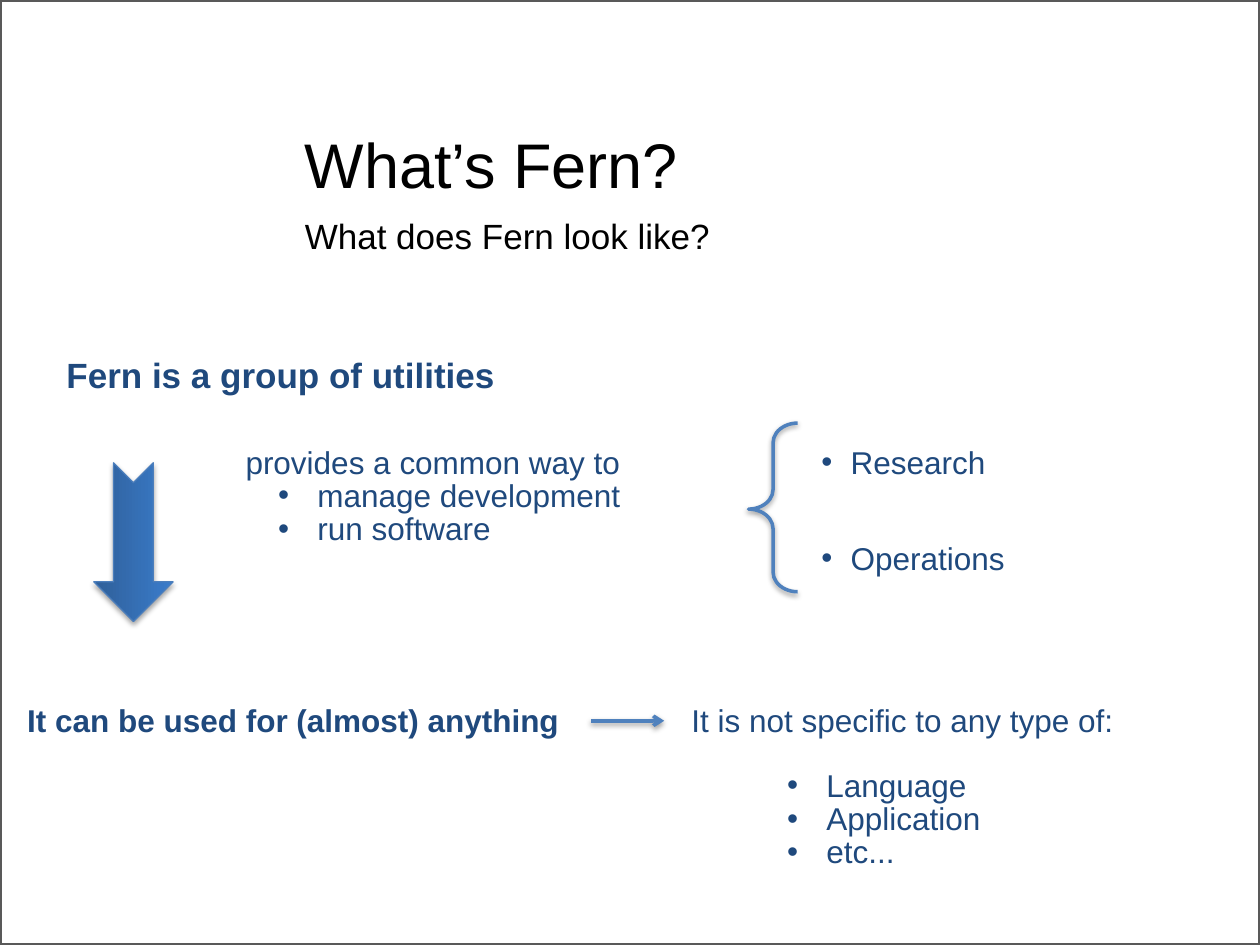
from lxml import etree
from pptx import Presentation
from pptx import util as u
from pptx.dml.color import RGBColor
from pptx.enum import shapes, text
from pptx.oxml.ns import qn

COLORS = {"frame": "595959", "black": "000000", "navy": "1F497D",
          "blue": "4F81BD", "edge": "4B7EBC", "dark": "2F5F99", "light": "3A7CCB"}
FONT = "Arial"

# Content: placeholders are (text, box in cm, size, line spacing, space around)
HEADINGS = [
    ("What’s Fern?", (5.89, 1.6, 19.41, 2.59), 36, 0.85, 0),
    ("What does Fern look like?", (5.89, 4.29, 19.41, 1.4), 20, 0.9, 7),
]
# Text boxes are (box in cm, size, bold, lines)
# Lines are (text, text indent in cm or None for no bullet, hang in cm, space before in pt)
BOXES = [
    ((16.31, 8.92, 4.39, 2.87), 18, False,
     [("Research", 0.59, 0.59, 0), ("Operations", 0.59, 0.59, 36.6)]),
    ((1.09, 7.14, 9.4, 0.99), 20, True,
     [("Fern is a group of utilities", None, 0, 0)]),
    ((4.7, 8.92, 9.4, 2.21), 18, False,
     [("provides a common way to", None, 0, 0),
      ("manage development", 1.45, 0.79, 0.6),
      ("run software", 1.45, 0.79, 0.6)]),
    ((0.3, 14.12, 11.61, 0.91), 18, True,
     [("It can be used for (almost) anything", None, 0, 0)]),
    ((13.69, 14.12, 9.8, 3.53), 18, False,
     [("It is not specific to any type of:", None, 0, 0),
      ("Language", 2.72, 0.79, 18.9),
      ("Application", 2.72, 0.79, 0.6),
      ("etc...", 2.72, 0.79, 0.6)]),
]
FRAME = (0, 0, 25.4, 19.05)
BRACE = (15.09, 8.53, 0.99, 3.4)
DOWN_ARROW = (1.09, 10.13, 3.2, 1.6)
LINK = (11.91, 14.53, 13.39, 14.53)


def cm(values):
    return [u.Cm(v) for v in values]


def rgb(name):
    return RGBColor.from_string(COLORS[name])


def style(p, size, color, spacing, bold=False):
    p.line_spacing = spacing
    p.alignment = text.PP_ALIGN.LEFT
    for r in p.runs:
        r.font.name, r.font.size, r.font.bold = FONT, u.Pt(size), bold
        r.font.color.rgb = rgb(color)


def bullet(p, indent, hang):
    pPr = p._p.get_or_add_pPr()
    pPr.set("marL", str(u.Cm(indent)))
    pPr.set("indent", str(-u.Cm(hang)))
    etree.SubElement(pPr, qn("a:buFont"), typeface=FONT)
    etree.SubElement(pPr, qn("a:buChar"), char="•")


def outline(sp, color, width):
    sp.line.color.rgb = rgb(color)
    sp.line.width = u.Pt(width)


def drop_shadow(sp, opacity, blur, dist):
    effects = etree.SubElement(sp._element.spPr, qn("a:effectLst"))
    shadow = etree.SubElement(effects, qn("a:outerShdw"), blurRad=str(u.Pt(blur)),
                              dist=str(u.Pt(dist)), dir="5400000", rotWithShape="0")
    color = etree.SubElement(shadow, qn("a:srgbClr"), val=COLORS["black"])
    etree.SubElement(color, qn("a:alpha"), val=str(opacity * 1000))


prs = Presentation()
prs.slide_width, prs.slide_height = cm(FRAME[2:])
s = prs.slides.add_slide(prs.slide_layouts[0])

# Frame around the slide
frame = s.shapes.add_shape(shapes.MSO_SHAPE.RECTANGLE, *cm(FRAME))
frame.fill.background()
frame.shadow.inherit = False
outline(frame, "frame", 2.25)

# Title and subtitle
anchors = (text.MSO_ANCHOR.BOTTOM, text.MSO_ANCHOR.TOP)
for sp, anchor, (words, box, size, spacing, gap) in zip(s.placeholders, anchors, HEADINGS):
    sp.left, sp.top, sp.width, sp.height = cm(box)
    tf = sp.text_frame
    tf.text = words
    tf.vertical_anchor = anchor
    tf.auto_size = text.MSO_AUTO_SIZE.NONE
    p = tf.paragraphs[0]
    style(p, size, "black", spacing)
    p.space_before = p.space_after = u.Pt(gap)

# Text boxes
for box, size, bold, lines in BOXES:
    tf = s.shapes.add_textbox(*cm(box)).text_frame
    tf.word_wrap = True
    for i, (words, indent, hang, gap) in enumerate(lines):
        p = tf.add_paragraph() if i else tf.paragraphs[0]
        p.text = words
        style(p, size, "navy", 0.85, bold)
        p.space_before = u.Pt(gap)
        if indent is not None:
            bullet(p, indent, hang)

# Brace in front of the two fields of use
brace = s.shapes.add_shape(shapes.MSO_SHAPE.LEFT_BRACE, *cm(BRACE))
brace.adjustments[0], brace.adjustments[1] = 0.4, 0.51
brace.fill.background()
outline(brace, "blue", 2)
drop_shadow(brace, 38, 3.1, 1.6)

# Notched arrow pointing down
arrow = s.shapes.add_shape(shapes.MSO_SHAPE.NOTCHED_RIGHT_ARROW, *cm(DOWN_ARROW))
arrow.rotation = 90
arrow.fill.gradient()
arrow.fill.gradient_angle = 90
for stop, color, position in zip(arrow.fill.gradient_stops, ("dark", "light"), (0, 1)):
    stop.color.rgb = rgb(color)
    stop.position = position
outline(arrow, "edge", 0.75)
drop_shadow(arrow, 35, 3.1, 1.8)

# Link between the two bottom statements
link = s.shapes.add_connector(shapes.MSO_CONNECTOR.STRAIGHT, *cm(LINK))
outline(link, "blue", 2)
etree.SubElement(link.line._get_or_add_ln(), qn("a:tailEnd"), type="arrow")
drop_shadow(link, 38, 3.1, 1.6)

prs.save("out.pptx")
